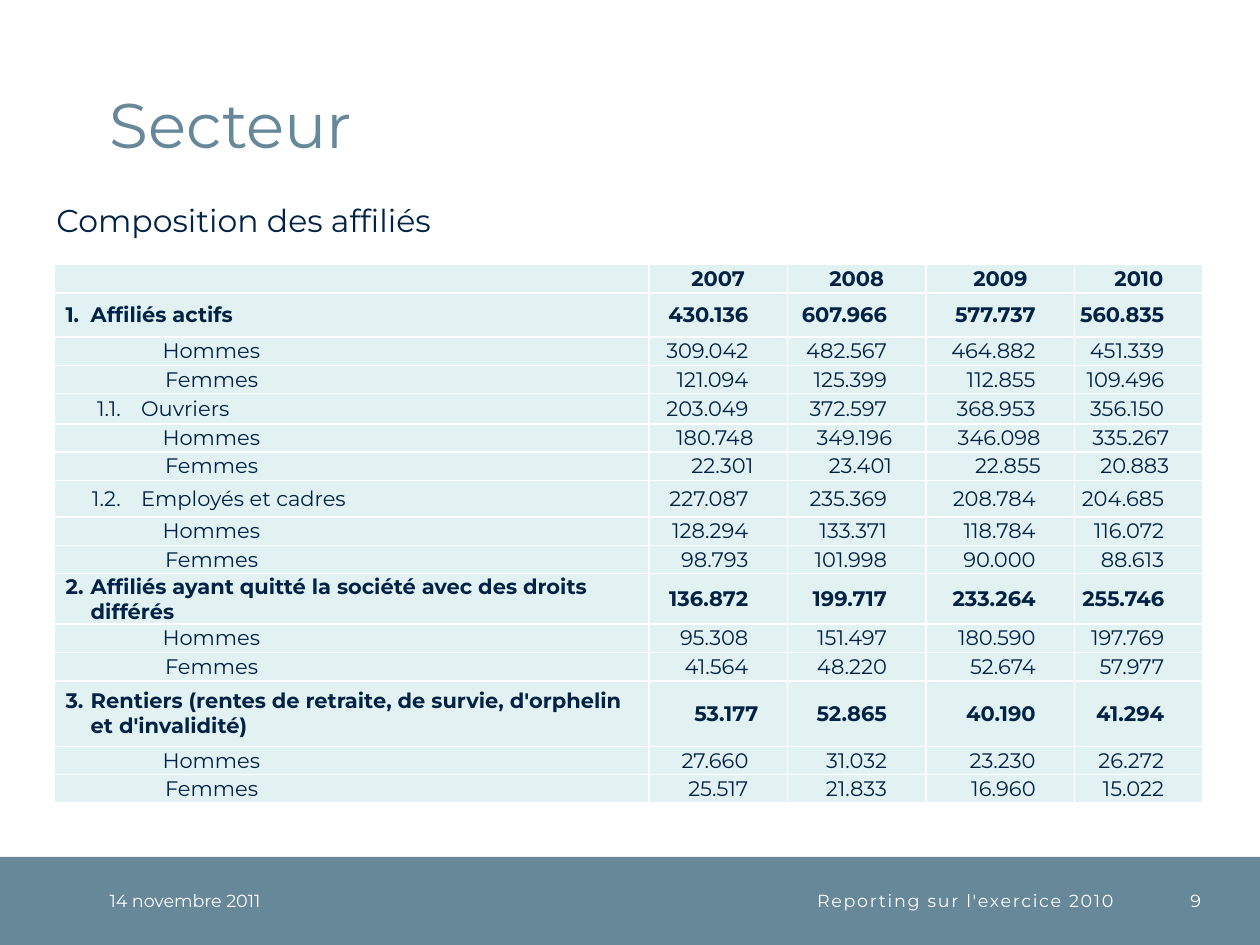
from lxml.etree import SubElement
from pptx import Presentation
from pptx.dml.color import RGBColor
from pptx.enum.shapes import MSO_SHAPE
from pptx.enum.text import MSO_ANCHOR, PP_ALIGN
from pptx.oxml.ns import qn
from pptx.util import Inches, Pt

FONT = "Montserrat"
SLATE = RGBColor(0x66, 0x88, 0x99)
NAVY = RGBColor(0x00, 0x22, 0x44)
WHITE = RGBColor(0xFF, 0xFF, 0xFF)
PALE = RGBColor(0xE2, 0xF2, 0xF2)

WIDTH, HEIGHT = Inches(10), Inches(7.5)
FOOTER_TOP, FOOTER_HEIGHT = Inches(6.8), Inches(0.7)
COLUMN_WIDTHS = [4.72, 1.1, 1.1, 1.18, 1.02]
ROW_HEIGHT = Pt(16.2)
YEARS = ["2007", "2008", "2009", "2010"]

# Right inset of the figures, by how far they stand from the column edge
FAR, NEAR, EDGE = 0.31, 0.27, 0.23

# Left margin and first-line indent of the row labels
MAIN, SUB, SUB_SHIFTED = (0.29, -0.2), (0.69, -0.39), (0.69, -0.35)
HOMMES, FEMMES = (0.86, 0), (0.88, 0)

# label, indent, bold, height, total insets, detail inset, total / men / women
SECTIONS = [
    ("1.\tAffiliés actifs", MAIN, True, 0.35, [FAR] * 4, FAR,
     ["430.136 607.966 577.737 560.835",
      "309.042 482.567 464.882 451.339",
      "121.094 125.399 112.855 109.496"]),
    ("1.1.\tOuvriers", SUB_SHIFTED, False, 0.24, [FAR] * 4, NEAR,
     ["203.049 372.597 368.953 356.150",
      "180.748 349.196 346.098 335.267",
      "22.301 23.401 22.855 20.883"]),
    ("1.2.\tEmployés et cadres", SUB, False, 0.29, [FAR] * 4, FAR,
     ["227.087 235.369 208.784 204.685",
      "128.294 133.371 118.784 116.072",
      "98.793 101.998 90.000 88.613"]),
    ("2.\tAffiliés ayant quitté la société avec des droits différés",
     MAIN, True, 0.37, [FAR] * 4, FAR,
     ["136.872 199.717 233.264 255.746",
      "95.308 151.497 180.590 197.769",
      "41.564 48.220 52.674 57.977"]),
    ("3.\tRentiers (rentes de retraite, de survie, d'orphelin et d'invalidité)",
     MAIN, True, 0.52, [EDGE, FAR, FAR, FAR], FAR,
     ["53.177 52.865 40.190 41.294",
      "27.660 31.032 23.230 26.272",
      "25.517 21.833 16.960 15.022"]),
]


def write(frame, text, size=12, color=NAVY, bold=False, align=PP_ALIGN.LEFT,
          indent=None, line_spacing=None, tracking=None):
    """Fill the first paragraph of a text frame with formatted text."""
    para = frame.paragraphs[0]
    para.alignment = align
    if line_spacing:
        para.line_spacing = Pt(line_spacing)
    if indent:
        properties = para._p.get_or_add_pPr()
        properties.set("marL", str(Inches(indent[0])))
        properties.set("indent", str(Inches(indent[1])))
    if not text:
        SubElement(para._p, qn("a:endParaRPr"), sz=str(size * 100))
        return
    span = para.add_run()
    span.text = text
    span.font.name = FONT
    span.font.size = Pt(size)
    span.font.bold = bold
    span.font.color.rgb = color
    if tracking:
        span.font._element.set("spc", str(tracking * 100))


def add_text(page, text, left, top, width, height, anchor=MSO_ANCHOR.MIDDLE,
             insets=(0, 0), **style):
    box = page.shapes.add_textbox(left, top, width, height)
    frame = box.text_frame
    frame.word_wrap = True
    frame.vertical_anchor = anchor
    frame.margin_left = frame.margin_right = Inches(insets[0])
    frame.margin_top = frame.margin_bottom = Inches(insets[1])
    write(frame, text, **style)


def fill_cell(cell, text, right=0, **style):
    cell.fill.solid()
    cell.fill.fore_color.rgb = PALE
    cell.vertical_anchor = MSO_ANCHOR.MIDDLE
    cell.margin_left = cell.margin_top = cell.margin_bottom = 0
    cell.margin_right = Inches(right)
    write(cell.text_frame, text, **style)


def fill_row(table, index, label, values, insets, height=ROW_HEIGHT,
             indent=None, bold=False, align=PP_ALIGN.RIGHT):
    table.rows[index].height = height
    fill_cell(table.cell(index, 0), label, indent=indent, bold=bold)
    for column, (value, inset) in enumerate(zip(values, insets), start=1):
        fill_cell(table.cell(index, column), value, right=inset,
                  bold=bold, align=align)


def add_members_table(page):
    row_count = 1 + 3 * len(SECTIONS)
    table = page.shapes.add_table(
        row_count, len(COLUMN_WIDTHS), Inches(0.43), Inches(2.1),
        Inches(sum(COLUMN_WIDTHS)), ROW_HEIGHT * row_count).table
    table.horz_banding = False
    table.first_row = False
    for column, width in zip(table.columns, COLUMN_WIDTHS):
        column.width = Inches(width)

    fill_row(table, 0, "", YEARS, [0] * 4, bold=True, align=PP_ALIGN.CENTER)
    for number, section in enumerate(SECTIONS):
        label, indent, bold, height, insets, detail_inset, figures = section
        total, men, women = [line.split() for line in figures]
        first = 1 + 3 * number
        detail_insets = [detail_inset] * 4
        fill_row(table, first, label, total, insets, height=Inches(height),
                 indent=indent, bold=bold)
        fill_row(table, first + 1, "Hommes", men, detail_insets, indent=HOMMES)
        fill_row(table, first + 2, "Femmes", women, detail_insets, indent=FEMMES)


def add_footer(page):
    band = page.shapes.add_shape(MSO_SHAPE.RECTANGLE, 0, FOOTER_TOP,
                                 WIDTH, FOOTER_HEIGHT)
    band.shadow.inherit = False
    band.fill.solid()
    band.fill.fore_color.rgb = SLATE
    band.line.fill.background()
    for text, left, width, align, tracking in [
        ("14 novembre 2011", 0.87, 1.77, PP_ALIGN.LEFT, None),
        ("Reporting sur l'exercice 2010", 2.64, 6.2, PP_ALIGN.RIGHT, 1),
        ("9", 9.04, 0.49, PP_ALIGN.RIGHT, None),
    ]:
        add_text(page, text, Inches(left), FOOTER_TOP, Inches(width),
                 FOOTER_HEIGHT, size=10, color=WHITE, align=align,
                 tracking=tracking)


def main():
    deck = Presentation()
    deck.slide_width, deck.slide_height = WIDTH, HEIGHT
    page = deck.slides.add_slide(deck.slide_layouts[6])

    # Footer band with date, report name and page number
    add_footer(page)

    # Title and subtitle
    add_text(page, "Secteur", Inches(0.87), Inches(0.2), Inches(8.63),
             Inches(1.08), anchor=MSO_ANCHOR.BOTTOM, size=36, color=SLATE,
             line_spacing=32)
    add_text(page, "Composition des affiliés", Inches(0.35), Inches(1.55),
             Inches(3.7), Inches(0.4), anchor=MSO_ANCHOR.TOP,
             insets=(0.1, 0.05), size=18)

    # Members by status and gender
    add_members_table(page)

    deck.save("out.pptx")


if __name__ == "__main__":
    main()
